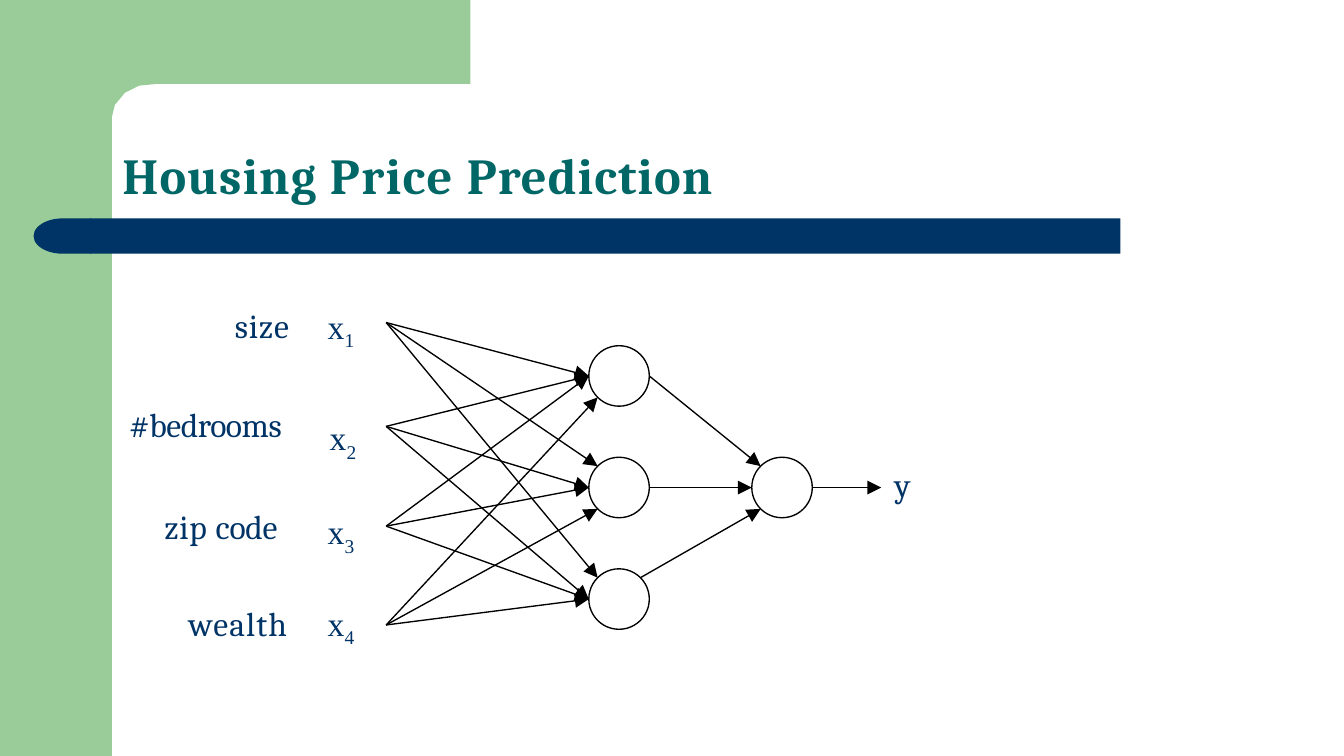
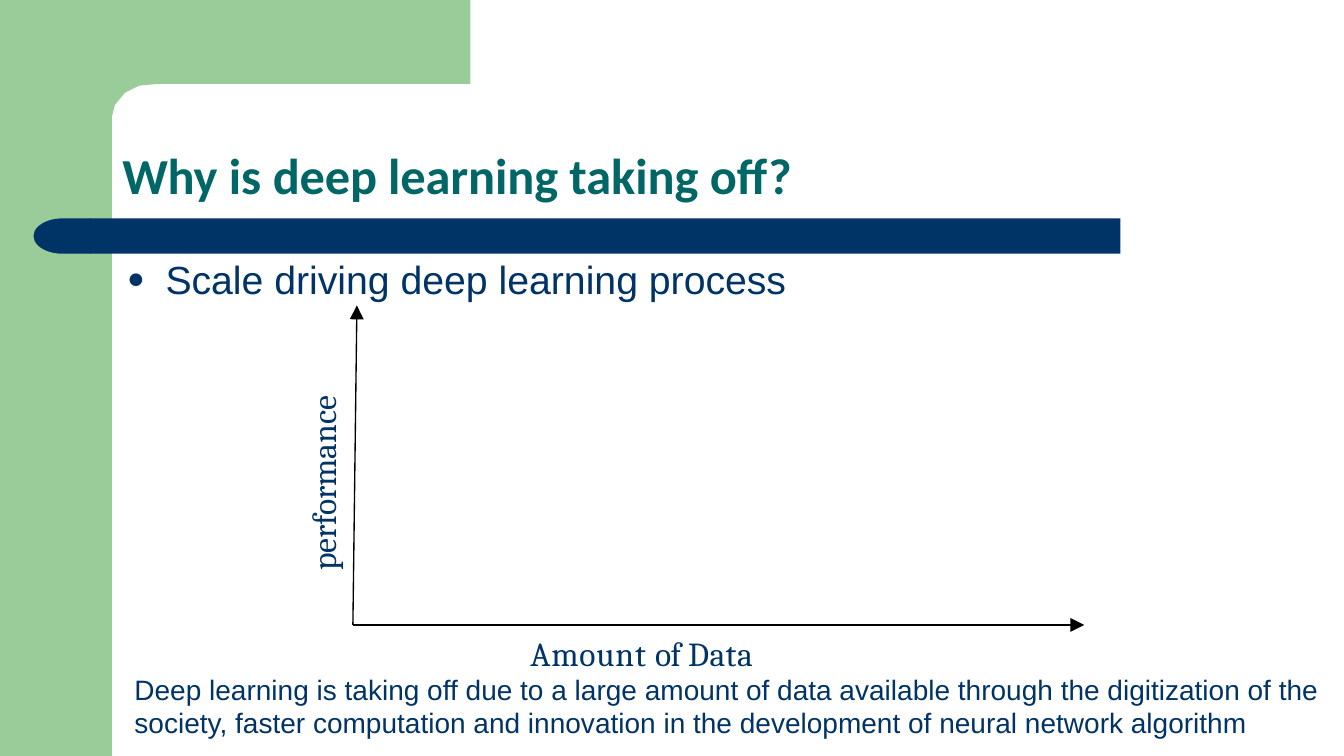
"""Two slides on neural networks, laid out on a grid of 40 columns by 22.5 rows."""
import math
import pptx
import pptx.dml.color
import pptx.enum.shapes
import pptx.enum.text
import pptx.oxml.ns
import pptx.util
from lxml import etree

HUES = {"leaf": "99CC99", "navy": "003366", "teal": "006666", "ink": "000000"}
WIDE, HIGH = 13.33, 7.5
CELL = HIGH / 22.5
FINE = 100

SIDE = (0, 0, 3.33, 22.5)
BAR = (2.67, 6.5, 30.67, 1.05)
CAP = (1, 6.5, 1.71, 1.05)
HEAD = (3.33, 2.49, 34.68, 3.87)
BEND = [(14, 0), (14, 2.5), (4.65, 2.5), (4.14, 2.55), (3.72, 2.76),
        (3.42, 3.12), (3.33, 3.48), (3.33, 3.84), (2, 3.84), (2, 0)]

STYLES = {
    "title": {"size": 36, "hue": "teal", "bold": True, "pad": (0.02, 0),
              "para": {"line_spacing": 0.9,
                       "alignment": pptx.enum.text.PP_ALIGN.LEFT},
              "frame": {"vertical_anchor": pptx.enum.text.MSO_ANCHOR.BOTTOM}},
    "label": {"size": 24, "hue": "navy", "bold": False, "pad": (0, 0.02),
              "para": {"space_before": pptx.util.Pt(1)}, "frame": {}},
    "point": {"size": 28, "hue": "navy", "bold": False, "pad": (0.1, 0.05),
              "para": {"space_before": pptx.util.Pt(5.6)}, "frame": {}},
    "note": {"size": 20, "hue": "navy", "bold": False, "pad": (0, 0),
             "para": {}, "frame": {}},
}

TITLES = [
    ("Cambria", [("Housing ", 0.8), ("Price ", 1.1), ("Prediction", 0.8)]),
    ("Calibri", [("Why ", -0.1), ("is ", 0), ("deep learning ", -0.1),
                 ("taking", 0), (" off?", -0.1)]),
]

TRAITS = [
    ((6.99, 9.03), [("size", 0.6)]),
    ((3.84, 11.97), [("#bedrooms", -0.3)]),
    ((4.89, 15), [("zip ", 0.5), ("code", -0.2)]),
    ((5.61, 17.88), [("wealth", 0.8)]),
]
MARKS = [(9.75, 9.03), (9.81, 12.36), (9.75, 15.15), (9.75, 17.88)]
ENTRY = [(11.49, row) for row in (9.6, 12.69, 15.66, 18.6)]
RAD = 0.9
MID = 14.51
HIDDEN = [(18.42, MID + 3.32 * step) for step in (-1, 0, 1)]
OUT = (23.27, MID)
EXIT = (26.22, MID)
LINKS = [(0, 135), (0, 180), (45, 225)]

POINT = "Scale driving deep learning process"
NOTE = ("Deep learning is taking off due to a large amount of data available "
        "through the digitization of the society, faster computation and "
        "innovation in the development of neural network algorithm")
ZERO, TOP, END = (10.5, 18.6), (10.62, 9.09), (32.26, 18.6)
AXES = [
    ((15.78, 18.78, 7.86, 1.26), [("Amount ", 0.6), ("of ", -0.4), ("Data", 0.3)], None),
    ((9, 10.56, 1.2, 6.48), [("performance", -0.1)], "vert270"),
]


def grid(*cells):
    return [pptx.util.Inches(cell * CELL) for cell in cells]


def tint(hue):
    return pptx.dml.color.RGBColor.from_string(HUES[hue])


def node(parent, tag, **attrs):
    return etree.SubElement(parent, pptx.oxml.ns.qn("a:" + tag), **attrs)


def paint(shape, hue):
    shape.shadow.inherit = False
    shape.fill.solid()
    shape.fill.fore_color.rgb = tint(hue)
    shape.line.fill.background()


def write(holder, runs, font, style, turn=None):
    look = STYLES[style]
    frame = holder.text_frame
    side, top = (pptx.util.Inches(pad) for pad in look["pad"])
    facts = {"word_wrap": True, "margin_left": side, "margin_right": side,
             "margin_top": top, "margin_bottom": top, **look["frame"]}
    for name, value in facts.items():
        setattr(frame, name, value)
    if turn:
        frame._txBody.bodyPr.set("vert", turn)
    para = frame.paragraphs[0]
    for name, value in look["para"].items():
        setattr(para, name, value)
    for text, gap, *base in runs:
        run = para.add_run()
        run.text = text
        facts = {"name": font, "size": pptx.util.Pt(look["size"]), "bold": look["bold"]}
        for name, value in facts.items():
            setattr(run.font, name, value)
        run.font.color.rgb = tint(look["hue"])
        props = run._r.get_or_add_rPr()
        props.set("spc", str(round(gap * 100)))
        if base:
            props.set("baseline", str(base[0] * 1000))
    return para


def place(slide, box, *text):
    return write(slide.shapes.add_textbox(*grid(*box)), *text)


def arrow(slide, start, stop):
    line = slide.shapes.add_connector(
        pptx.enum.shapes.MSO_CONNECTOR.STRAIGHT, *grid(*start, *stop))
    line.line.width = pptx.util.Pt(0.96)
    line.line.color.rgb = tint("ink")
    node(line.line._get_or_add_ln(), "tailEnd", type="triangle", w="lg", len="lg")
    node(line._element.spPr, "effectLst")


def rim(hub, angle):
    turn = math.radians(angle)
    return hub[0] + RAD * math.cos(turn), hub[1] - RAD * math.sin(turn)


def ring(slide, hub):
    disc = slide.shapes.add_shape(
        pptx.enum.shapes.MSO_SHAPE.OVAL,
        *grid(hub[0] - RAD, hub[1] - RAD, 2 * RAD, 2 * RAD))
    disc.shadow.inherit = False
    disc.fill.background()
    disc.line.width = pptx.util.Pt(0.96)
    disc.line.color.rgb = tint("ink")


def begin(deck, title):
    slide = deck.slides.add_slide(deck.slide_layouts[6])
    kinds = pptx.enum.shapes.MSO_SHAPE
    paint(slide.shapes.add_shape(kinds.RECTANGLE, *grid(*SIDE)), "leaf")
    dots = [(col * FINE, row * FINE) for col, row in BEND]
    bend = slide.shapes.build_freeform(*dots[0], scale=pptx.util.Inches(CELL) / FINE)
    bend.add_line_segments(dots[1:], close=True)
    paint(bend.convert_to_shape(), "leaf")
    paint(slide.shapes.add_shape(kinds.RECTANGLE, *grid(*BAR)), "navy")
    cap = slide.shapes.add_shape(kinds.FLOWCHART_DELAY, *grid(*CAP))
    cap.rotation = 180
    paint(cap, "navy")
    head = slide.shapes.add_shape(kinds.ROUNDED_RECTANGLE, *grid(*HEAD))
    head.adjustments[0] = 0.22
    head.shadow.inherit = False
    head.fill.background()
    head.line.fill.background()
    font, runs = title
    write(head, runs, font, "title")
    return slide


def network(slide):
    for spot, runs in TRAITS:
        place(slide, (*spot, 5.07, 1.29), runs, "Cambria", "label")
    for count, spot in enumerate(MARKS, 1):
        runs = [("x", 0.1), (str(count), 0.1, -25)]
        place(slide, (*spot, 1.7, 1.26), runs, "Times New Roman", "label")
    for hub in HIDDEN + [OUT]:
        ring(slide, hub)
    for row, start in enumerate(ENTRY):
        for col, hub in enumerate(HIDDEN):
            angle = 180
            if row == 0 and col > 0:
                angle = 135
            elif row == len(ENTRY) - 1 and col < len(HIDDEN) - 1:
                angle = 225
            arrow(slide, start, rim(hub, angle))
    for hub, (leave, reach) in zip(HIDDEN, LINKS):
        arrow(slide, rim(hub, leave), rim(OUT, reach))
    arrow(slide, rim(OUT, 0), EXIT)
    place(slide, (26.61, 13.74, 0.9, 1.29), [("y", 1.1)], "Cambria", "label")


def scale(slide):
    para = place(slide, (3.49, 7.44, 33.66, 1.56), [(POINT, 0)], "Arial", "point")
    props = para._p.get_or_add_pPr()
    indent = pptx.util.Inches(0.38)
    props.set("marL", str(indent))
    props.set("indent", str(-indent))
    node(node(props, "buClr"), "srgbClr", val=HUES["navy"])
    node(props, "buSzPct", val="75000")
    node(props, "buFont", typeface="Arial")
    node(props, "buChar", char="●")
    for tip in (TOP, END):
        arrow(slide, ZERO, tip)
    for box, runs, turn in AXES:
        place(slide, box, runs, "Cambria", "label", turn)
    place(slide, (4, 20.01, 36, 2.01), [(NOTE, 0)], "Arial", "note")


deck = pptx.Presentation()
deck.slide_width = pptx.util.Inches(WIDE)
deck.slide_height = pptx.util.Inches(HIGH)
for title, fill in zip(TITLES, (network, scale)):
    fill(begin(deck, title))
deck.save("out.pptx")
